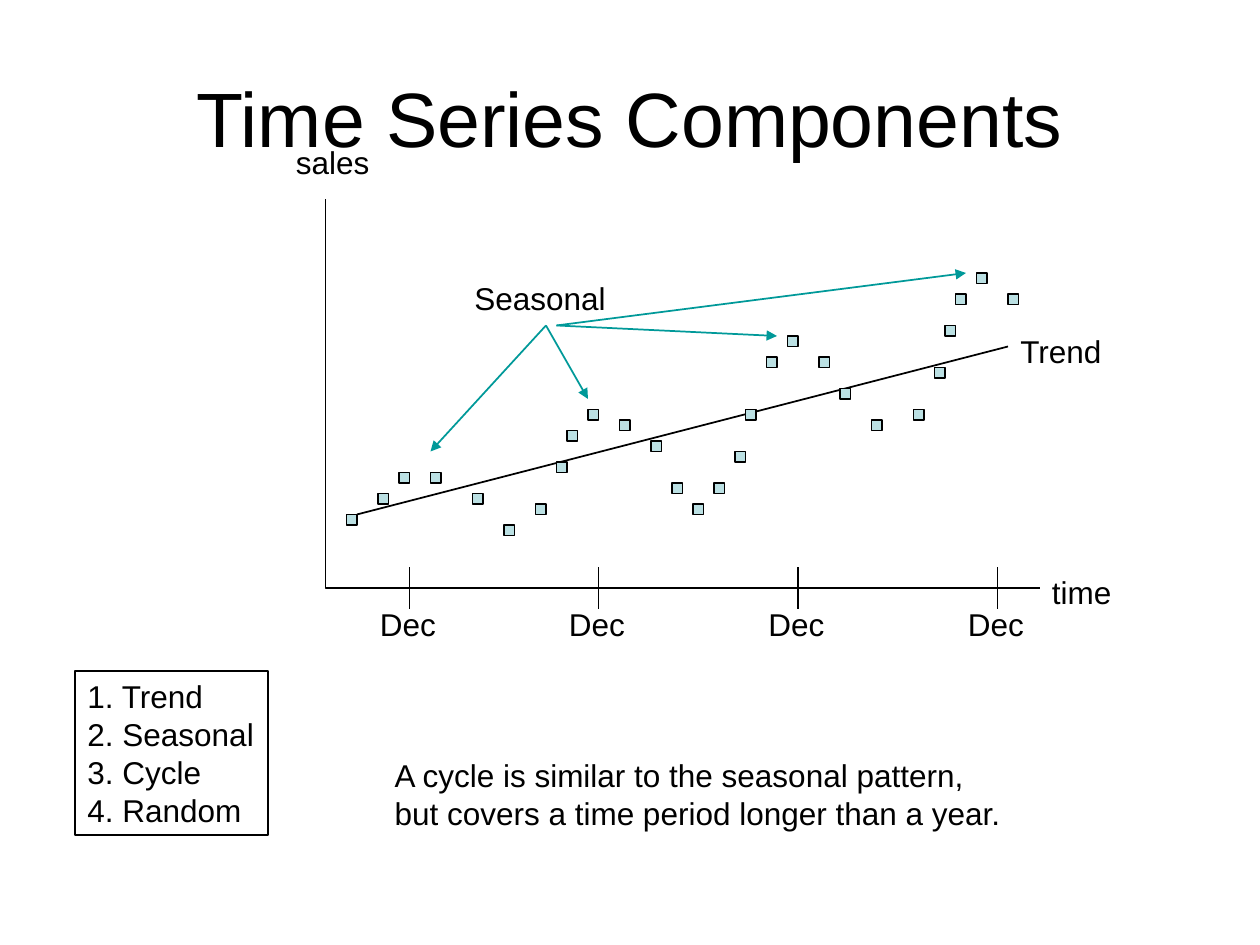
from dataclasses import dataclass

from lxml.etree import SubElement
from pptx import Presentation
from pptx.dml.color import RGBColor
from pptx.enum.shapes import MSO_CONNECTOR as Connector, MSO_SHAPE as Preset
from pptx.enum.text import MSO_ANCHOR as Anchor, MSO_AUTO_SIZE as AutoSize, PP_ALIGN as Align
from pptx.oxml.ns import qn
from pptx.util import Inches, Pt

CELLS_PER_INCH = 12  # the slide is a grid of 120 columns by 90 rows
BLACK, TEAL, PALE_BLUE = "000000", "009999", "BBE0E3"
AXIS_COLUMN, AXIS_TOP, AXIS_ROW, AXIS_END = 31, 19, 56, 99
DECEMBER_COLUMNS = (39, 57, 76, 95)
SALES_POINTS = (
    (33, 49), (36, 47), (38, 45), (41, 45), (45, 47), (48, 50), (51, 48),
    (53, 44), (54, 41), (56, 39), (59, 40), (62, 42), (64, 46), (66, 48),
    (68, 46), (70, 43), (71, 39), (73, 34), (75, 32), (78, 34), (80, 37),
    (83, 40), (87, 39), (89, 35), (90, 31), (91, 28), (93, 26), (96, 28),
)


@dataclass
class Label:
    column: float
    row: float
    columns: float
    rows: float
    lines: tuple[str, ...]
    size: int = 18
    align: Align = Align.LEFT
    anchor: Anchor = Anchor.TOP
    wrap: bool = False
    outlined: bool = False


@dataclass
class Segment:
    start: tuple[float, float]
    end: tuple[float, float]
    color: str = BLACK
    arrow: bool = False


def grid(cells: float) -> int:
    return Inches(cells / CELLS_PER_INCH)


def rgb(color: str) -> RGBColor:
    return RGBColor.from_string(color)


def set_line(line, color: str = BLACK) -> None:
    line.color.rgb = rgb(color)
    line.width = Pt(1)


def draw_label(slide, label: Label) -> None:
    place = [grid(n) for n in (label.column, label.row, label.columns, label.rows)]
    box = slide.shapes.add_textbox(*place)
    if label.outlined:
        set_line(box.line)
    frame = box.text_frame
    frame.word_wrap = label.wrap
    frame.auto_size = AutoSize.NONE if label.wrap else AutoSize.SHAPE_TO_FIT_TEXT
    frame.vertical_anchor = label.anchor
    frame.text = "\n".join(label.lines)
    for paragraph in frame.paragraphs:
        paragraph.alignment = label.align
        paragraph.font.name = "Arial"
        paragraph.font.size = Pt(label.size)
        paragraph.font.color.rgb = rgb(BLACK)


def draw_segment(slide, segment: Segment) -> None:
    ends = [grid(n) for n in (*segment.start, *segment.end)]
    connector = slide.shapes.add_connector(Connector.STRAIGHT, *ends)
    set_line(connector.line, segment.color)
    if segment.arrow:
        SubElement(connector.line._get_or_add_ln(), qn("a:tailEnd"), type="triangle")
    SubElement(connector._element.spPr, qn("a:effectLst"))


def draw_axes(slide) -> None:
    builder = slide.shapes.build_freeform(AXIS_COLUMN, AXIS_TOP, scale=grid(1))
    corners = [(AXIS_COLUMN, AXIS_ROW), (AXIS_END, AXIS_ROW)]
    builder.add_line_segments(corners, close=False)
    axes = builder.convert_to_shape()
    axes.shadow.inherit = False
    axes.fill.background()
    set_line(axes.line)


def draw_marker(slide, column: float, row: float) -> None:
    marker = slide.shapes.add_shape(
        Preset.RECTANGLE, grid(column), grid(row), grid(1), grid(1))
    marker.shadow.inherit = False
    marker.fill.solid()
    marker.fill.fore_color.rgb = rgb(PALE_BLUE)
    set_line(marker.line)


def main() -> None:
    presentation = Presentation()
    presentation.slide_width, presentation.slide_height = grid(120), grid(90)
    slide = presentation.slides.add_slide(presentation.slide_layouts[6])

    # Title and axes
    draw_label(slide, Label(6, 3.6, 108, 15, ("Time Series Components",), 44,
                            Align.CENTER, Anchor.MIDDLE, wrap=True))
    draw_axes(slide)

    # Trend line and December ticks
    draw_segment(slide, Segment((34, 49), (96, 33)))
    for column in DECEMBER_COLUMNS:
        draw_segment(slide, Segment((column, AXIS_ROW + 2), (column, AXIS_ROW - 2)))
        draw_label(slide, Label(column - 4, AXIS_ROW + 1, 7.8, 4.8, ("Dec",)))

    # Sales observations
    for column, row in SALES_POINTS:
        draw_marker(slide, column, row)

    # Chart labels, list of components and note
    for label in (
        Label(99, 54, 8.2, 4.8, ("time",)),
        Label(27, 13, 9.5, 4.8, ("sales",)),
        Label(96, 31, 10.3, 4.8, ("Trend",)),
        Label(44, 26, 15, 4.8, ("Seasonal",)),
        Label(7.15, 63.9, 18.4, 15.6,
              ("1. Trend", "2. Seasonal", "3. Cycle", "4. Random"), outlined=True),
        Label(36.4, 71.45, 60.4, 8.4,
              ("A cycle is similar to the seasonal pattern,",
               "but covers a time period longer than a year.")),
    ):
        draw_label(slide, label)

    # Arrows from the seasonal label to the yearly peaks
    for start, end in (
        ((52, 31), (41, 43)),
        ((52, 31), (56, 38)),
        ((53, 31), (74, 32)),
        ((53, 31), (92, 26)),
    ):
        draw_segment(slide, Segment(start, end, TEAL, arrow=True))

    presentation.save("out.pptx")


if __name__ == "__main__":
    main()
